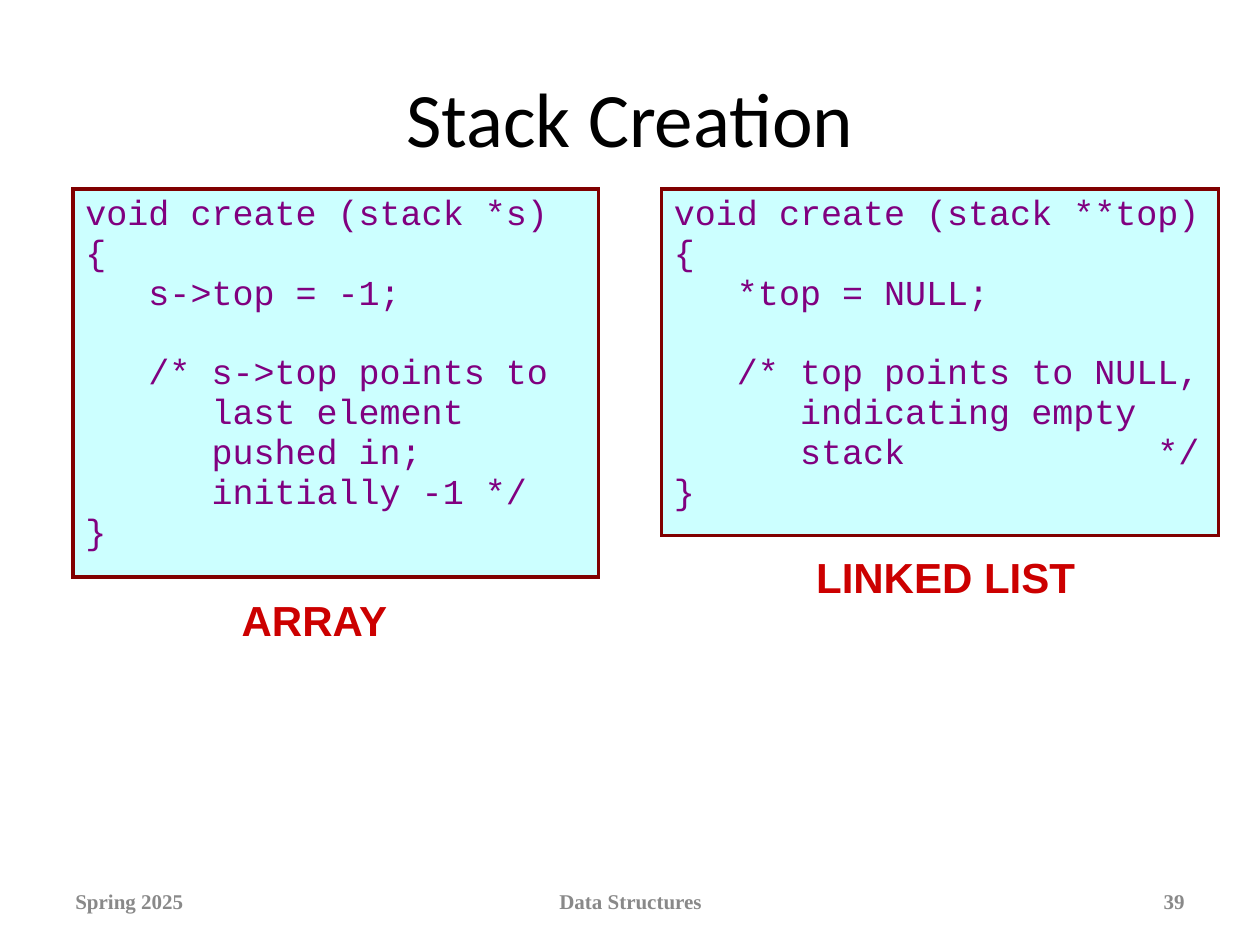
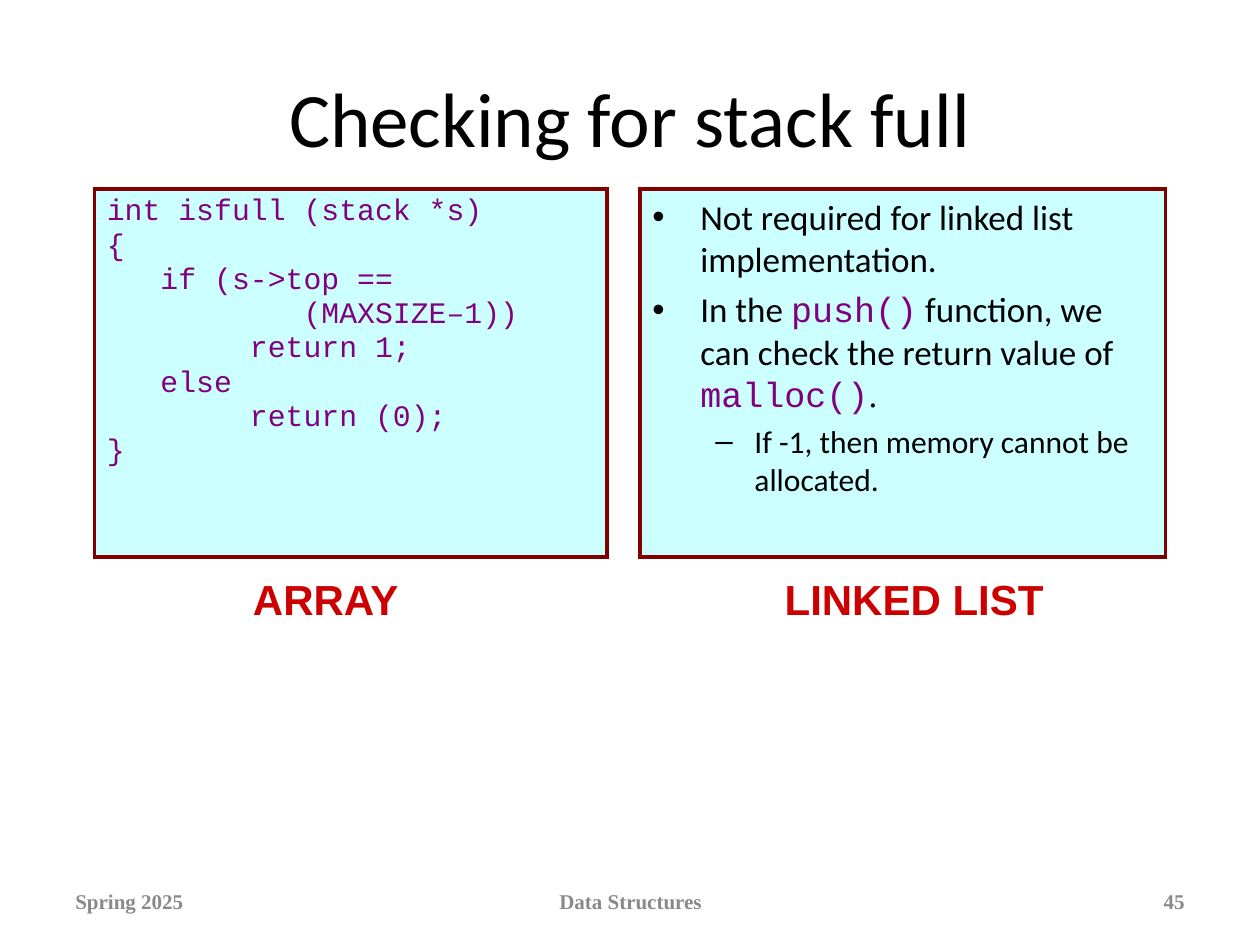
from dataclasses import dataclass

from lxml.etree import SubElement
from pptx import Presentation
from pptx.dml.color import RGBColor
from pptx.enum.shapes import MSO_SHAPE
from pptx.enum.text import MSO_ANCHOR, PP_ALIGN
from pptx.oxml.ns import qn
from pptx.util import Inches, Pt

BLACK, GREY = "000000", "898989"
PANEL_FILL, PANEL_LINE = "CCFFFF", "800000"
CODE_COLOR, LABEL_COLOR = "800080", "CC0000"


@dataclass(frozen=True)
class Box:
    left: float
    top: float
    width: float
    height: float

    def lengths(self):
        return [Inches(n) for n in (self.left, self.top, self.width, self.height)]


@dataclass(frozen=True)
class TextStyle:
    name: str
    size: float
    color: str
    bold: bool = False


@dataclass(frozen=True)
class Label:
    text: str
    box: Box


@dataclass(frozen=True)
class CodePanel:
    box: Box
    size: float
    code: str


@dataclass(frozen=True)
class Bullet:
    level: int
    runs: tuple[tuple[str, TextStyle], ...]


@dataclass(frozen=True)
class BulletLevel:
    symbol: str
    margin: float
    hanging: float
    space_before: float


TITLE = TextStyle("Calibri", 44, BLACK)
FOOTER = TextStyle("Times New Roman", 12, GREY, bold=True)
LABEL = TextStyle("Arial", 24, LABEL_COLOR, bold=True)
BODY = TextStyle("Calibri", 20, BLACK)
SUB_BODY = TextStyle("Calibri", 18, BLACK)
INLINE_CODE = TextStyle("Courier New", 20, CODE_COLOR)
PERIOD = TextStyle("Times New Roman", 20, BLACK)

LEVELS = (BulletLevel("•", 0.38, 0.38, 5), BulletLevel("–", 0.81, 0.31, 4.5))

TITLE_BOX = Box(0.5, 0.3, 9, 1.25)
FOOTER_TOP, FOOTER_HEIGHT = 6.95, 0.4
PANEL_TOP = 1.5
CODE_SPACE_BEFORE, CODE_LINE_SPACING = 1.2, 0.9

CREATE_ARRAY = """void create (stack *s)
{
   s->top = -1;
 
   /* s->top points to
      last element
      pushed in;
      initially -1 */
}"""

CREATE_LIST = """void create (stack **top)
{
   *top = NULL;
 
   /* top points to NULL,
      indicating empty
      stack            */
}"""

ISFULL_ARRAY = """int isfull (stack *s)
{
   if (s->top ==
           (MAXSIZE–1))
        return 1;
   else
        return (0);
}"""

ISFULL_NOTES = (
    Bullet(0, (("Not required for linked list implementation.", BODY),)),
    Bullet(0, (
        ("In the ", BODY),
        ("push()", INLINE_CODE),
        (" function, we can check the return value of ", BODY),
        ("malloc()", INLINE_CODE),
        (".", PERIOD),
    )),
    Bullet(1, (("If -1, then memory cannot be allocated.", SUB_BODY),)),
)


def rgb(color: str) -> RGBColor:
    return RGBColor.from_string(color)


def apply_style(font, style: TextStyle) -> None:
    font.name = style.name
    font.size = Pt(style.size)
    font.bold = style.bold
    font.color.rgb = rgb(style.color)


def add_text(slide, box: Box, text: str, style: TextStyle,
             alignment=PP_ALIGN.CENTER, anchor=MSO_ANCHOR.MIDDLE) -> None:
    frame = slide.shapes.add_textbox(*box.lengths()).text_frame
    frame.word_wrap = True
    frame.vertical_anchor = anchor
    paragraph = frame.paragraphs[0]
    paragraph.text = text
    paragraph.alignment = alignment
    apply_style(paragraph.font, style)


def add_panel(slide, box: Box):
    """Draw a square-cornered panel and return its empty text frame."""
    shape = slide.shapes.add_shape(MSO_SHAPE.RECTANGLE, *box.lengths())
    shape.shadow.inherit = False
    shape.fill.solid()
    shape.fill.fore_color.rgb = rgb(PANEL_FILL)
    shape.line.color.rgb = rgb(PANEL_LINE)
    shape.line.width = Pt(2)
    SubElement(shape.line._get_or_add_ln(), qn("a:miter"), lim="800000")
    frame = shape.text_frame
    frame.word_wrap = True
    frame.vertical_anchor = MSO_ANCHOR.TOP
    return frame


def next_paragraph(frame, index: int, space_before: float):
    paragraph = frame.add_paragraph() if index else frame.paragraphs[0]
    paragraph.alignment = PP_ALIGN.LEFT
    if index:
        paragraph.space_before = Pt(space_before)
    return paragraph


def add_code_panel(slide, panel: CodePanel) -> None:
    frame = add_panel(slide, panel.box)
    style = TextStyle("Courier New", panel.size, CODE_COLOR)
    for index, line in enumerate(panel.code.split("\n")):
        paragraph = next_paragraph(frame, index, CODE_SPACE_BEFORE)
        paragraph.line_spacing = CODE_LINE_SPACING
        paragraph.text = line
        apply_style(paragraph.font, style)


def set_bullet(paragraph, level: BulletLevel) -> None:
    properties = paragraph._p.get_or_add_pPr()
    properties.set("marL", str(Inches(level.margin)))
    properties.set("indent", str(-Inches(level.hanging)))
    color = SubElement(properties, qn("a:buClr"))
    SubElement(color, qn("a:srgbClr"), val=BLACK)
    SubElement(properties, qn("a:buFont"), typeface="Arial")
    SubElement(properties, qn("a:buChar"), char=level.symbol)


def add_bullet_panel(slide, box: Box, bullets: tuple[Bullet, ...]) -> None:
    frame = add_panel(slide, box)
    for index, bullet in enumerate(bullets):
        level = LEVELS[bullet.level]
        paragraph = next_paragraph(frame, index, level.space_before)
        paragraph.level = bullet.level
        set_bullet(paragraph, level)
        for text, style in bullet.runs:
            run = paragraph.add_run()
            run.text = text
            if len(bullet.runs) > 1:
                apply_style(run.font, style)
        if len(bullet.runs) == 1:
            apply_style(paragraph.font, bullet.runs[0][1])


def add_base_slide(presentation, title: str, number: int, labels: tuple[Label, ...]):
    """Add a slide with its title, footer and panel labels."""
    slide = presentation.slides.add_slide(presentation.slide_layouts[6])
    add_text(slide, TITLE_BOX, title, TITLE)
    footers = (
        ("Spring 2025", 0.5, 2.33, PP_ALIGN.LEFT),
        ("Data Structures", 3.42, 3.17, PP_ALIGN.CENTER),
        (str(number), 7.17, 2.33, PP_ALIGN.RIGHT),
    )
    for text, left, width, alignment in footers:
        box = Box(left, FOOTER_TOP, width, FOOTER_HEIGHT)
        add_text(slide, box, text, FOOTER, alignment)
    for label in labels:
        add_text(slide, label.box, label.text, LABEL, anchor=MSO_ANCHOR.TOP)
    return slide


def main() -> None:
    presentation = Presentation()
    presentation.slide_width = Inches(10)
    presentation.slide_height = Inches(7.5)

    # Stack creation: array code beside linked list code
    slide = add_base_slide(presentation, "Stack Creation", 39, (
        Label("ARRAY", Box(1.58, 4.67, 1.83, 0.5)),
        Label("LINKED LIST", Box(5.92, 4.33, 3.17, 0.5)),
    ))
    add_code_panel(slide, CodePanel(Box(0.58, PANEL_TOP, 4.17, 3.08), 20, CREATE_ARRAY))
    add_code_panel(slide, CodePanel(Box(5.25, PANEL_TOP, 4.42, 2.75), 20, CREATE_LIST))

    # Stack full: array code beside notes on the linked list
    slide = add_base_slide(presentation, "Checking for stack full", 45, (
        Label("ARRAY", Box(1.67, 4.5, 1.83, 0.5)),
        Label("LINKED LIST", Box(5.67, 4.5, 3.17, 0.5)),
    ))
    add_code_panel(slide, CodePanel(Box(0.75, PANEL_TOP, 4.07, 2.92), 17, ISFULL_ARRAY))
    add_bullet_panel(slide, Box(5.08, PANEL_TOP, 4.17, 2.92), ISFULL_NOTES)

    presentation.save("out.pptx")


if __name__ == "__main__":
    main()
